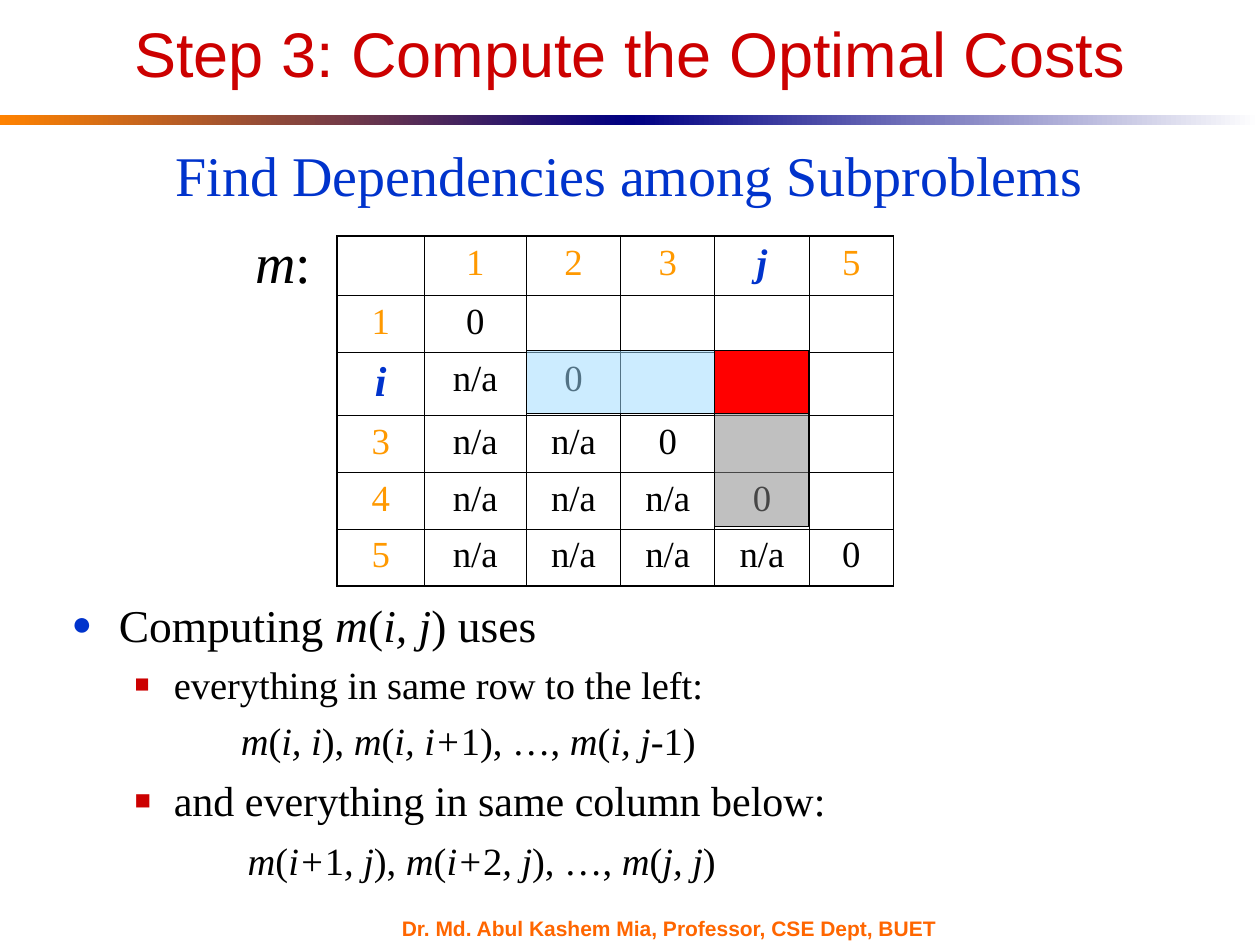
from dataclasses import dataclass

from lxml import etree
from pptx import Presentation, util as u
from pptx.dml.color import RGBColor
from pptx.enum import shapes, text
from pptx.oxml import ns

Cm, Pt = u.Cm, u.Pt
LEFT, MID, RIGHT = text.PP_ALIGN.LEFT, text.PP_ALIGN.CENTER, text.PP_ALIGN.RIGHT


@dataclass(frozen=True)
class Theme:
    sans: str = "Arial"
    serif: str = "Times New Roman"
    black: str = "000000"
    white: str = "FFFFFF"
    red: str = "CC0000"
    blue: str = "0033CC"
    gold: str = "FF9900"
    amber: str = "FF8200"
    navy: str = "000082"
    orange: str = "FF6600"
    goal: str = "FF0000"
    row: str = "9EDBFF"
    below: str = "878787"
    title: int = 36
    head: int = 32
    lead: int = 26
    rule: int = 24
    item: int = 22
    cell: int = 21
    foot: int = 12
    thin: float = 0.45
    thick: float = 1.08
    edge: float = 0.75


T = Theme()
COLS = [1.75, 2.06, 1.9, 1.9, 1.9, 1.7]
ROWS = [1.2, 1.14, 1.27, 1.14, 1.14, 1.14]
COSTS = [
    ["", "1", "2", "3", "j", "5"],
    ["1", "0", "", "", "", ""],
    ["i", "n/a", "0", "", "", ""],
    ["3", "n/a", "n/a", "0", "", ""],
    ["4", "n/a", "n/a", "n/a", "0", ""],
    ["5", "n/a", "n/a", "n/a", "n/a", "0"],
]
# first row, first column, rows, columns, colour, opacity in percent
ZONES = [(2, 4, 1, 1, T.goal, 100), (2, 2, 1, 2, T.row, 52), (3, 4, 2, 1, T.below, 52)]
# words (italic between stars), size, space before, left, hang, bullet
USES = [
    ("Computing *m*(*i, j*) uses", T.lead, 0, 0.95, 0.95, ("●", T.blue, 75)),
    ("everything in same row to the left:", T.item, 5.2, 2.06, 0.79, ("■", T.red, 65)),
    ("*m*(*i, i*), *m*(*i, i+*1), …, *m*(*i, j-*1)", T.item, 6, 3.41, 0, None),
    ("and everything in same column below:", T.rule, 6.3, 2.06, 0.79, ("■", T.red, 65)),
    ("*m*(*i+*1*, j*), *m*(*i+*2*, j*), …, *m*(*j, j*)", T.item, 6.7, 3.55, 0, None),
]


def rgb(code):
    return RGBColor.from_string(code)


def sub(node, tag, **attrs):
    return etree.SubElement(node, ns.qn(tag), attrs)


def write(para, words, face, size, tint, bold=False, align=LEFT):
    """Add runs to a paragraph; parts between stars are italic."""
    para.alignment = align
    for i, part in enumerate(words.split("*")):
        if part:
            run = para.add_run()
            run.text = part
            font = run.font
            font.name, font.size, font.bold, font.italic = face, Pt(size), bold, i % 2 == 1
            font.color.rgb = rgb(tint)


def place(shape, box):
    shape.left, shape.top, shape.width, shape.height = map(Cm, box)


def label(slide, box, words, face, size, tint, **style):
    frame = slide.shapes.add_textbox(*map(Cm, box)).text_frame
    frame.word_wrap = False
    write(frame.paragraphs[0], words, face, size, tint, **style)
    return frame


def block(slide, box):
    shape = slide.shapes.add_shape(shapes.MSO_SHAPE.RECTANGLE, *map(Cm, box))
    shape.shadow.inherit = False
    return shape


def band(slide, box):
    """Draw the rule under the title as two blends side by side."""
    x, y, w, h = box
    for i, pair in enumerate([(T.amber, T.navy), (T.navy, T.white)]):
        shape = block(slide, (x + i * w / 2, y, w / 2, h))
        shape.line.fill.background()
        shape.fill.gradient()
        shape.fill.gradient_angle = 0
        for stop, tint, spot in zip(shape.fill.gradient_stops, pair, (0, 1)):
            stop.color.rgb, stop.position = rgb(tint), spot


def title(slide, box):
    shape = slide.shapes.title
    place(shape, box)
    frame = shape.text_frame
    frame.auto_size = text.MSO_AUTO_SIZE.NONE
    frame.vertical_anchor = text.MSO_ANCHOR.BOTTOM
    write(frame.paragraphs[0], "Step 3: Compute the Optimal Costs",
          T.sans, T.title, T.red, align=MID)


def edges(cell, row, col):
    """Line a cell, with a heavier line where it meets the table's outside."""
    props = cell._tc.get_or_add_tcPr()
    sides = [("L", col == 0), ("R", col == len(COLS) - 1),
             ("T", row == 0), ("B", row == len(ROWS) - 1)]
    for i, (side, outer) in enumerate(sides):
        width = Pt(T.thick if outer else T.thin)
        line = etree.Element(ns.qn("a:ln" + side), w=str(int(width)))
        sub(sub(line, "a:solidFill"), "a:srgbClr", val=T.black)
        props.insert(i, line)


def fill(cell, word, row, col):
    cell.fill.background()
    edges(cell, row, col)
    para = cell.text_frame.paragraphs[0]
    if word in ("i", "j"):
        size = T.rule if word == "i" else T.item
        write(para, f"*{word}*", T.serif, size, T.blue, bold=True, align=MID)
    else:
        tint = T.black if row and col else T.gold
        write(para, word, T.serif, T.cell, tint, align=MID)


def zone(slide, box, tint, alpha):
    shape = block(slide, box)
    shape.fill.solid()
    shape.fill.fore_color.rgb = rgb(tint)
    shape.line.color.rgb, shape.line.width = rgb(T.black), Pt(T.edge)
    if alpha < 100:
        code = shape.fill._xPr.find(ns.qn("a:solidFill"))[0]
        sub(code, "a:alpha", val=str(alpha * 1000))


def costs(slide, box):
    """Place the cost table with its name, and mark the cells in use."""
    x, y, w, h = box
    label(slide, (x - 1.9, y - 0.3, 1.8, 1.62), "*m*:", T.serif, T.head, T.black)
    table = slide.shapes.add_table(len(ROWS), len(COLS), *map(Cm, box)).table
    table.first_row = table.horz_banding = False
    for col, width in zip(table.columns, COLS):
        col.width = Cm(width)
    for row, height in zip(table.rows, ROWS):
        row.height = Cm(height)
    for r, words in enumerate(COSTS):
        for c, word in enumerate(words):
            fill(table.cell(r, c), word, r, c)
    for r, c, down, wide, tint, alpha in ZONES:
        spot = (x + sum(COLS[:c]), y + sum(ROWS[:r]) - 0.03,
                sum(COLS[c:c + wide]), sum(ROWS[r:r + down]))
        zone(slide, spot, tint, alpha)


def bullet(para, left, hang, mark):
    props = para._p.get_or_add_pPr()
    props.set("marL", str(int(Cm(left))))
    props.set("indent", str(int(Cm(-hang))))
    if mark is None:
        sub(props, "a:buNone")
        return
    sign, tint, size = mark
    sub(sub(props, "a:buClr"), "a:srgbClr", val=tint)
    sub(props, "a:buSzPct", val=str(size * 1000))
    sub(props, "a:buFont", typeface=T.serif)
    sub(props, "a:buChar", char=sign)


def uses(slide, box):
    body = slide.placeholders[1]
    place(body, box)
    frame = body.text_frame
    frame.auto_size = text.MSO_AUTO_SIZE.NONE
    for i, (words, size, gap, left, hang, mark) in enumerate(USES):
        para = frame.add_paragraph() if i else frame.paragraphs[0]
        para.level = min(i, 1)
        para.space_before = Pt(gap)
        bullet(para, left, hang, mark)
        write(para, words, T.serif, size, T.black)


def main():
    deck = Presentation()
    deck.slide_width, deck.slide_height = Cm(25.4), Cm(19.05)
    slide = deck.slides.add_slide(deck.slide_layouts[1])
    band(slide, (0, 2.31, 25.4, 0.21))
    title(slide, (1.27, 0.64, 22.86, 1.3))
    label(slide, (3.27, 2.71, 18.82, 1.6), "Find Dependencies among Subproblems",
          T.serif, T.head, T.blue, align=RIGHT)
    costs(slide, (6.8, 4.76, sum(COLS), sum(ROWS)))
    uses(slide, (1.19, 11.91, 18.77, 6.27))
    foot = label(slide, (7.85, 18.49, 11.86, 0.46),
                 "Dr. Md. Abul Kashem Mia, Professor, CSE Dept, BUET",
                 T.sans, T.foot, T.orange, bold=True)
    foot.vertical_anchor = text.MSO_ANCHOR.MIDDLE
    deck.save("out.pptx")


if __name__ == "__main__":
    main()
